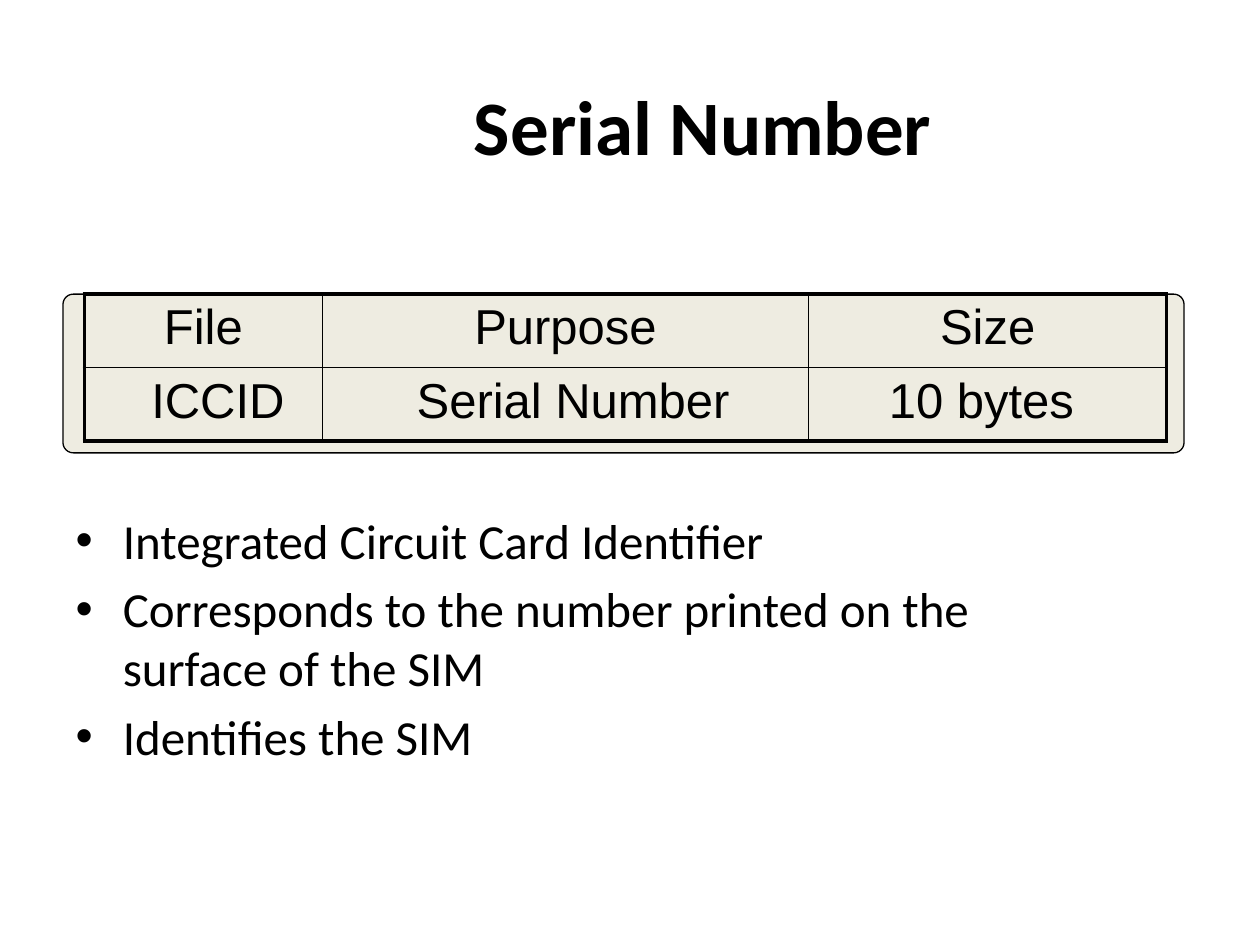
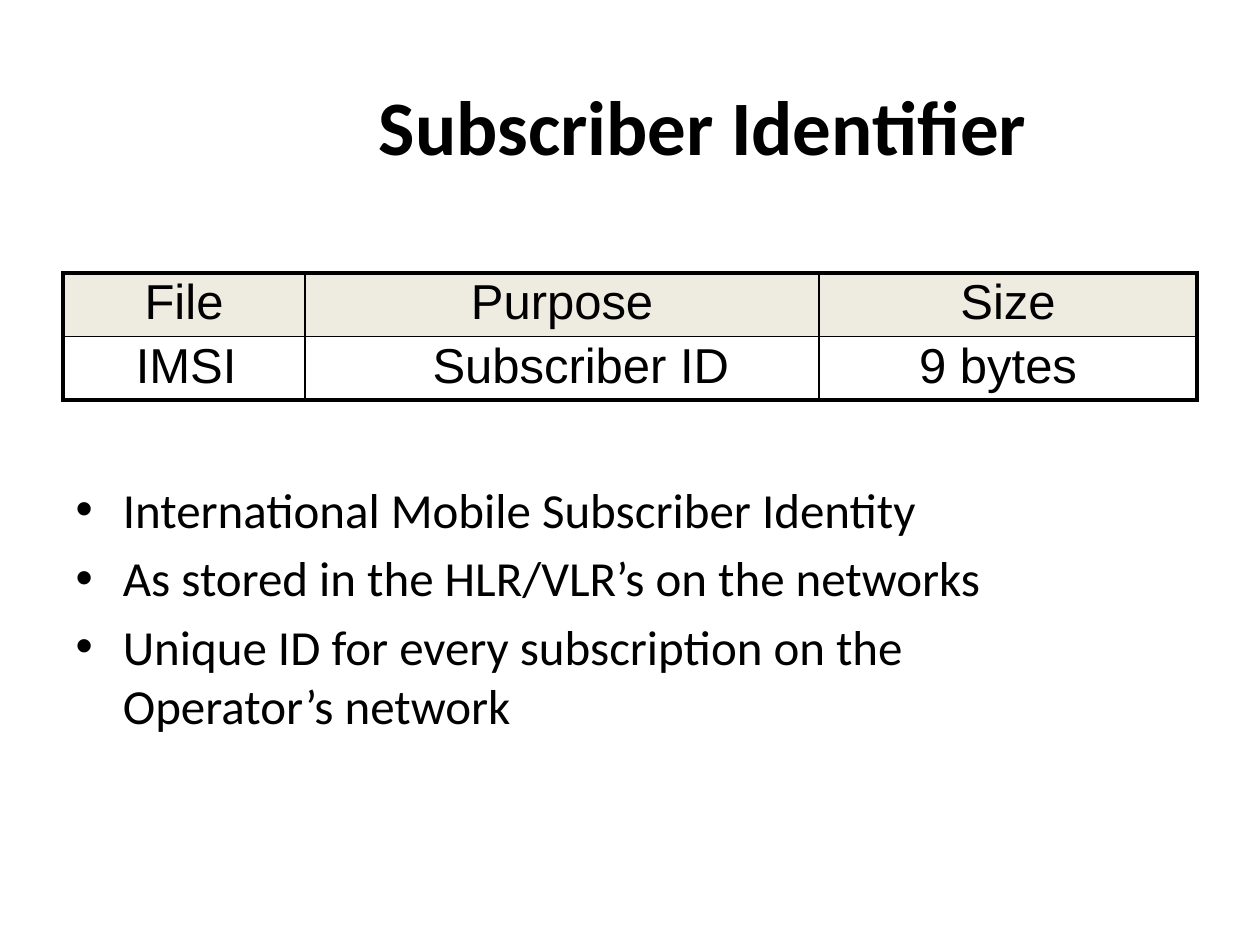
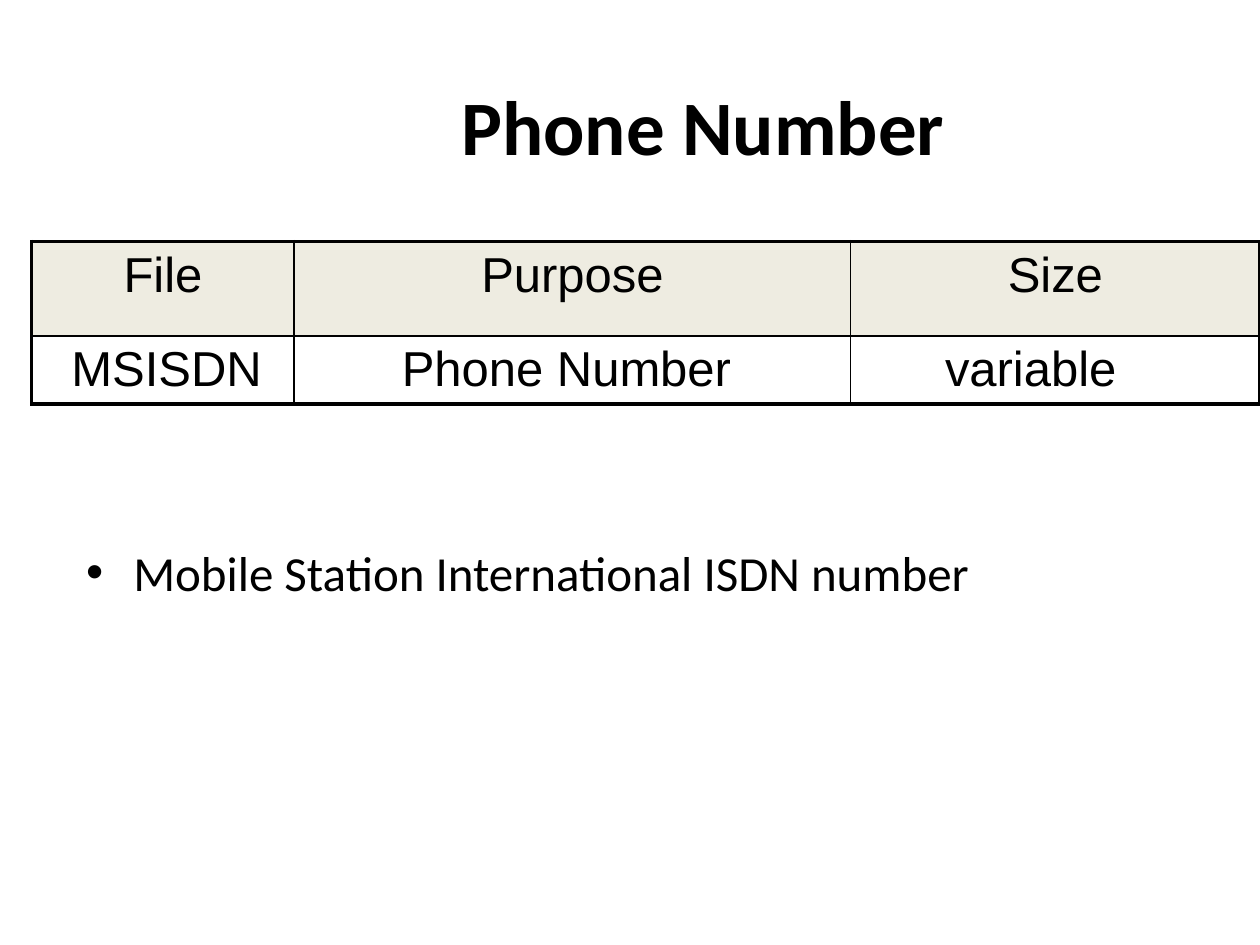
from pptx import Presentation
from pptx.dml.color import RGBColor
from pptx.enum.shapes import MSO_SHAPE as Shape
from pptx.enum.text import MSO_ANCHOR as Anchor, PP_ALIGN as Align
from pptx.oxml.ns import qn
from pptx.util import Cm, Pt
from lxml.etree import SubElement

# Shared look
BLACK, BEIGE = "000000", "EEECE1"
HEADING_FONT, TABLE_FONT = "Calibri", "Arial"
TITLE_BOX = (3.38, 0.84, 21.59, 3.35)
THICK, THIN = 2.25, 1
HEADER = ["File", "Purpose", "Size"]

# Content: lengths in cm; "indents" shift the texts of the value row,
# "margins" are the horizontal and vertical insets of the cells
SLIDES = [
    {
        "title": "Serial Number",
        "values": ["ICCID", "Serial Number", "10 bytes"],
        "indents": [1.1, 1.65, 1.37],
        "table_at": (1.7, 5.93),
        "columns": [4.8, 9.8, 7.22],
        "rows": [1.48, 1.48],
        "margins": (0.25, 0.13),
        "panel": (1.27, 5.93, 22.6, 3.2),
        "bullets": [
            "Integrated Circuit Card Identifier",
            "Corresponds to the number printed on the surface of the SIM",
            "Identifies the SIM",
        ],
        "body": (1.27, 10.16, 21.38, 6.88),
    },
    {
        "title": "Subscriber Identifier",
        "values": ["IMSI", "Subscriber ID", "9 bytes"],
        "indents": [1.37, 2.47, 1.92],
        "table_at": (1.27, 5.5),
        "columns": [4.88, 10.36, 7.62],
        "rows": [1.28, 1.28],
        "margins": (0.1, 0.05),
        "bullets": [
            "International Mobile Subscriber Identity",
            "As stored in the HLR/VLR’s on the networks",
            "Unique ID for every subscription on the Operator’s network",
        ],
        "body": (1.27, 9.53, 21.17, 7.51),
    },
    {
        "title": "Phone Number",
        "values": ["MSISDN", "Phone Number", "variable"],
        "indents": [0.55, 1.92, 1.65],
        "table_at": (0.64, 4.87),
        "columns": [5.29, 11.22, 8.25],
        "rows": [1.9, 1.37],
        "margins": (0.25, 0.13),
        "bullets": ["Mobile Station International ISDN number"],
        "body": (1.48, 10.8, 21.59, 3.7),
    },
]


def color(hex_text):
    return RGBColor.from_string(hex_text)


def place(shape, box):
    shape.left, shape.top, shape.width, shape.height = map(Cm, box)


def format_runs(paragraph, font_name, size, bold=False):
    for run in paragraph.runs:
        run.font.name = font_name
        run.font.size = Pt(size)
        run.font.bold = bold
        run.font.color.rgb = color(BLACK)


def add_title(slide, text):
    title = slide.shapes.title
    place(title, TITLE_BOX)
    title.text_frame.text = text
    title.text_frame.vertical_anchor = Anchor.MIDDLE
    paragraph = title.text_frame.paragraphs[0]
    paragraph.alignment = Align.CENTER
    format_runs(paragraph, HEADING_FONT, 44, bold=True)


def add_bullets(slide, bullets, box):
    body = slide.placeholders[1]
    place(body, box)
    body.text_frame.text = "\n".join(bullets)
    for paragraph in body.text_frame.paragraphs:
        format_runs(paragraph, HEADING_FONT, 28)
    body.text_frame.paragraphs[0].space_before = Pt(0)


def add_panel(slide, box):
    panel = slide.shapes.add_shape(Shape.ROUNDED_RECTANGLE, *map(Cm, box))
    panel.adjustments[0] = 0.065
    panel.shadow.inherit = False
    panel.fill.solid()
    panel.fill.fore_color.rgb = color(BEIGE)
    panel.line.color.rgb = color(BLACK)
    panel.line.width = Pt(0.75)


def set_borders(cell, widths):
    properties = cell._tc.get_or_add_tcPr()
    for side, width in widths.items():
        line = SubElement(properties, qn(f"a:ln{side}"), w=str(Pt(width)))
        fill = SubElement(line, qn("a:solidFill"))
        SubElement(fill, qn("a:srgbClr"), val=BLACK)


def add_file_table(slide, content):
    texts = [HEADER, content["values"]]
    columns, rows = content["columns"], content["rows"]
    box = (*content["table_at"], sum(columns), sum(rows))
    table = slide.shapes.add_table(len(rows), len(columns), *map(Cm, box)).table
    table.first_row = table.horz_banding = False
    for column, width in zip(table.columns, columns):
        column.width = Cm(width)
    for row, height in zip(table.rows, rows):
        row.height = Cm(height)

    last_row, last_column = len(rows) - 1, len(columns) - 1
    horizontal, vertical = map(Cm, content["margins"])
    for row_index, row_texts in enumerate(texts):
        for column_index, text in enumerate(row_texts):
            cell = table.cell(row_index, column_index)
            cell.margin_left = cell.margin_right = horizontal
            cell.margin_top = cell.margin_bottom = vertical
            # Thick lines around the table, thin lines inside
            set_borders(cell, {
                "L": THICK if column_index == 0 else THIN,
                "R": THICK if column_index == last_column else THIN,
                "T": THICK if row_index == 0 else THIN,
                "B": THICK if row_index == last_row else THIN,
            })
            cell.text_frame.text = text
            paragraph = cell.text_frame.paragraphs[0]
            format_runs(paragraph, TABLE_FONT, 28)
            if row_index == 0:
                cell.fill.solid()
                cell.fill.fore_color.rgb = color(BEIGE)
                paragraph.alignment = Align.CENTER
            else:
                cell.fill.background()
                indent = Cm(content["indents"][column_index])
                paragraph._p.get_or_add_pPr().set("marL", str(indent))


def main():
    presentation = Presentation()
    presentation.slide_width, presentation.slide_height = Cm(25.4), Cm(19.05)
    for content in SLIDES:
        slide = presentation.slides.add_slide(presentation.slide_layouts[1])
        add_title(slide, content["title"])
        add_bullets(slide, content["bullets"], content["body"])
        if "panel" in content:
            add_panel(slide, content["panel"])
        add_file_table(slide, content)
    presentation.save("out.pptx")


if __name__ == "__main__":
    main()
